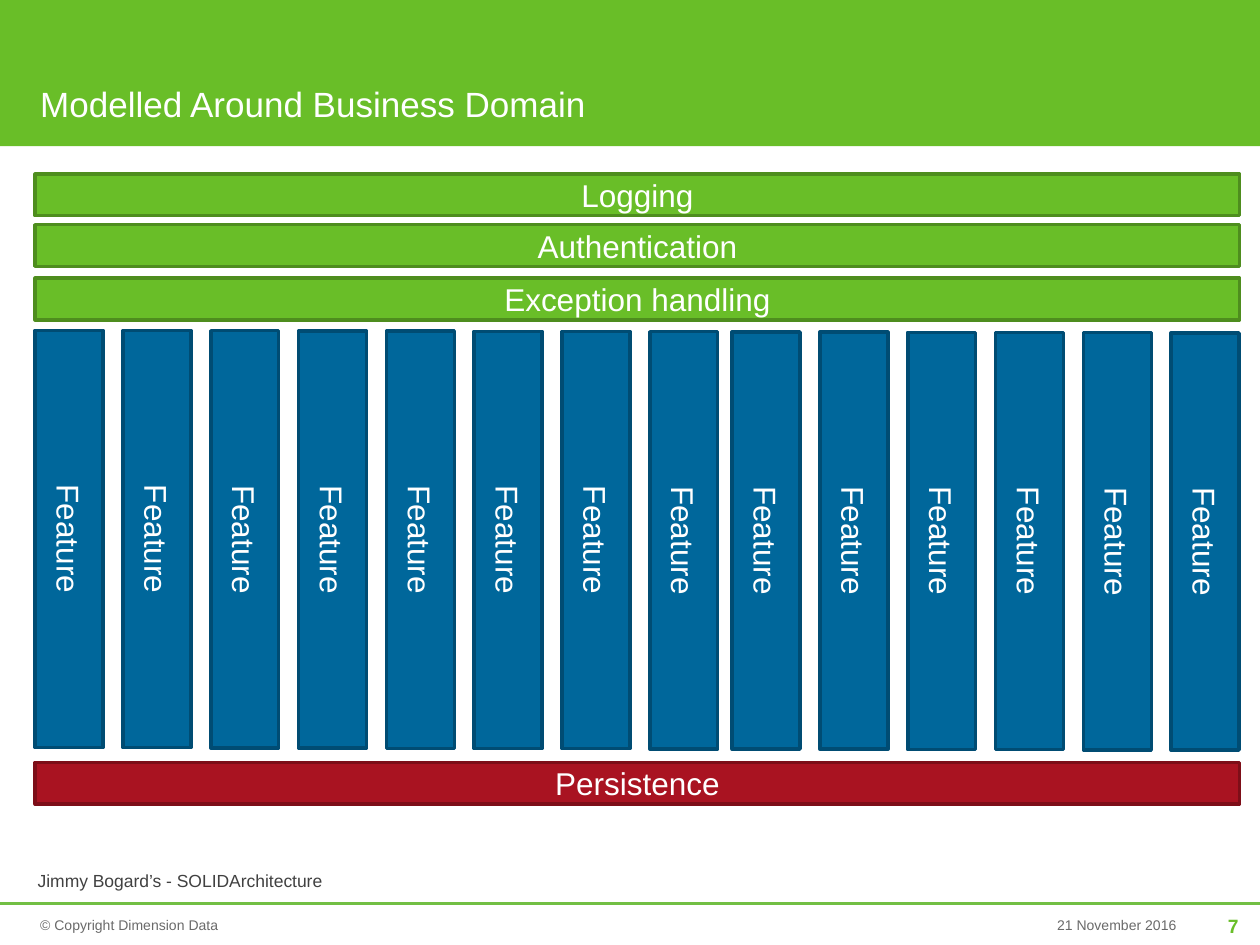
from dataclasses import dataclass

from lxml import etree
from pptx import Presentation
from pptx.dml.color import RGBColor
from pptx.enum.shapes import MSO_CONNECTOR, MSO_SHAPE
from pptx.enum.text import MSO_ANCHOR, PP_ALIGN
from pptx.oxml.ns import qn
from pptx.slide import Slide
from pptx.text.text import TextFrame
from pptx.util import Cm, Pt

RECTANGLE = MSO_SHAPE.RECTANGLE
STRAIGHT = MSO_CONNECTOR.STRAIGHT
LEFT, CENTER, RIGHT = PP_ALIGN.LEFT, PP_ALIGN.CENTER, PP_ALIGN.RIGHT
MIDDLE, BOTTOM = MSO_ANCHOR.MIDDLE, MSO_ANCHOR.BOTTOM

WHITE, GREEN, GREY = "FFFFFF", "69BE28", "6A6A6A"
PAGE_WIDTH, PAGE_HEIGHT = 25.4, 19.05
LAYER_LEFT, LAYER_WIDTH, LAYER_HEIGHT = 0.71, 24.28, 0.84
FEATURE_WIDTH, FEATURE_HEIGHT, FEATURE_PITCH = 1.37, 8.41, 1.77
FEATURE_TOP, FEATURE_DRIFT = 6.66, 0.004


@dataclass(frozen=True)
class Block:
    text: str
    left: float
    top: float
    width: float
    height: float
    fill: str
    border: str
    vertical: bool = False


@dataclass(frozen=True)
class Label:
    text: str
    left: float
    top: float
    width: float
    height: float
    size: float
    color: str
    align: PP_ALIGN = LEFT
    anchor: MSO_ANCHOR = MIDDLE
    spacing: float = 1.1
    after: float = 0.1
    bold: bool = False


@dataclass(frozen=True)
class FeatureGroup:
    left: float
    count: int


def rgb(value: str) -> RGBColor:
    return RGBColor.from_string(value)


def write(frame: TextFrame, text: str, size: float, color: str,
          align: PP_ALIGN, bold: bool = False) -> None:
    frame.text = text
    para = frame.paragraphs[0]
    para.alignment = align
    font = para.runs[0].font
    font.name, font.size, font.bold = "Arial", Pt(size), bold
    font.color.rgb = rgb(color)


def draw_label(page: Slide, label: Label) -> None:
    box = page.shapes.add_textbox(Cm(label.left), Cm(label.top),
                                  Cm(label.width), Cm(label.height))
    frame = box.text_frame
    frame.word_wrap = True
    frame.vertical_anchor = label.anchor
    frame.margin_left = frame.margin_right = 0
    frame.margin_top = frame.margin_bottom = 0
    write(frame, label.text, label.size, label.color, label.align, label.bold)
    para = frame.paragraphs[0]
    para.line_spacing = label.spacing
    para.space_after = Pt(label.after)


def draw_block(page: Slide, block: Block) -> None:
    shape = page.shapes.add_shape(RECTANGLE, Cm(block.left), Cm(block.top),
                                  Cm(block.width), Cm(block.height))
    shape.shadow.inherit = False
    shape.fill.solid()
    shape.fill.fore_color.rgb = rgb(block.fill)
    shape.line.color.rgb = rgb(block.border)
    shape.line.width = Pt(2)
    frame = shape.text_frame
    frame.vertical_anchor = MIDDLE
    write(frame, block.text, 18, WHITE, CENTER)
    if block.vertical:
        shape.element.txBody.bodyPr.set("vert", "vert")


def draw_banner(page: Slide) -> None:
    banner = page.shapes.add_shape(RECTANGLE, 0, 0, Cm(PAGE_WIDTH), Cm(2.95))
    banner.shadow.inherit = False
    banner.fill.solid()
    banner.fill.fore_color.rgb = rgb(GREEN)
    banner.line.fill.background()


def draw_footer_rule(page: Slide) -> None:
    height = Cm(18.21)
    rule = page.shapes.add_connector(STRAIGHT, 0, height, Cm(PAGE_WIDTH), height)
    rule.line.color.rgb = rgb("72BF44")
    rule.line.width = Pt(1.5)
    etree.SubElement(rule.element.spPr, qn("a:effectLst"))


def draw_credit(page: Slide) -> None:
    box = page.shapes.add_textbox(Cm(0.51), Cm(17.42), Cm(6.32), Cm(0.69))
    box.text_frame.word_wrap = False
    write(box.text_frame, "Jimmy Bogard’s - SOLIDArchitecture", 10, "414141", LEFT)


def layer(text: str, top: float, fill: str = GREEN, border: str = "4E8D1E") -> Block:
    return Block(text, LAYER_LEFT, top, LAYER_WIDTH, LAYER_HEIGHT, fill, border)


def feature_blocks(groups: list[FeatureGroup]) -> list[Block]:
    lefts = [group.left + FEATURE_PITCH * step
             for group in groups for step in range(group.count)]
    return [Block("Feature", left, FEATURE_TOP + FEATURE_DRIFT * index,
                  FEATURE_WIDTH, FEATURE_HEIGHT, "00679B", "004C73", True)
            for index, left in enumerate(lefts)]


LABELS = [
    Label("© Copyright Dimension Data", 0.81, 18.21, 11.89, 0.84, 8, GREY),
    Label("7", 23.93, 18.21, 1.04, 0.86, 11, GREEN, RIGHT, bold=True),
    Label("21 November 2016", 19.05, 18.21, 4.67, 0.84, 8, GREY, RIGHT),
    Label("Modelled Around Business Domain", 0.81, 0.2, 17.81, 2.31, 20, WHITE,
          anchor=BOTTOM, spacing=1.2, after=2),
]
BLOCKS = [
    layer("Logging", 3.51),
    layer("Authentication", 4.53),
    layer("Exception handling", 5.61),
    *feature_blocks([FeatureGroup(0.71, 8), FeatureGroup(14.76, 6)]),
    layer("Persistence", 15.37, "A91321", "7D0E18"),
]


def main() -> None:
    deck = Presentation()
    deck.slide_width, deck.slide_height = Cm(PAGE_WIDTH), Cm(PAGE_HEIGHT)
    page = deck.slides.add_slide(deck.slide_layouts[6])
    draw_banner(page)
    draw_footer_rule(page)
    for label in LABELS:
        draw_label(page, label)
    for block in BLOCKS:
        draw_block(page, block)
    draw_credit(page)
    deck.save("out.pptx")


if __name__ == "__main__":
    main()
